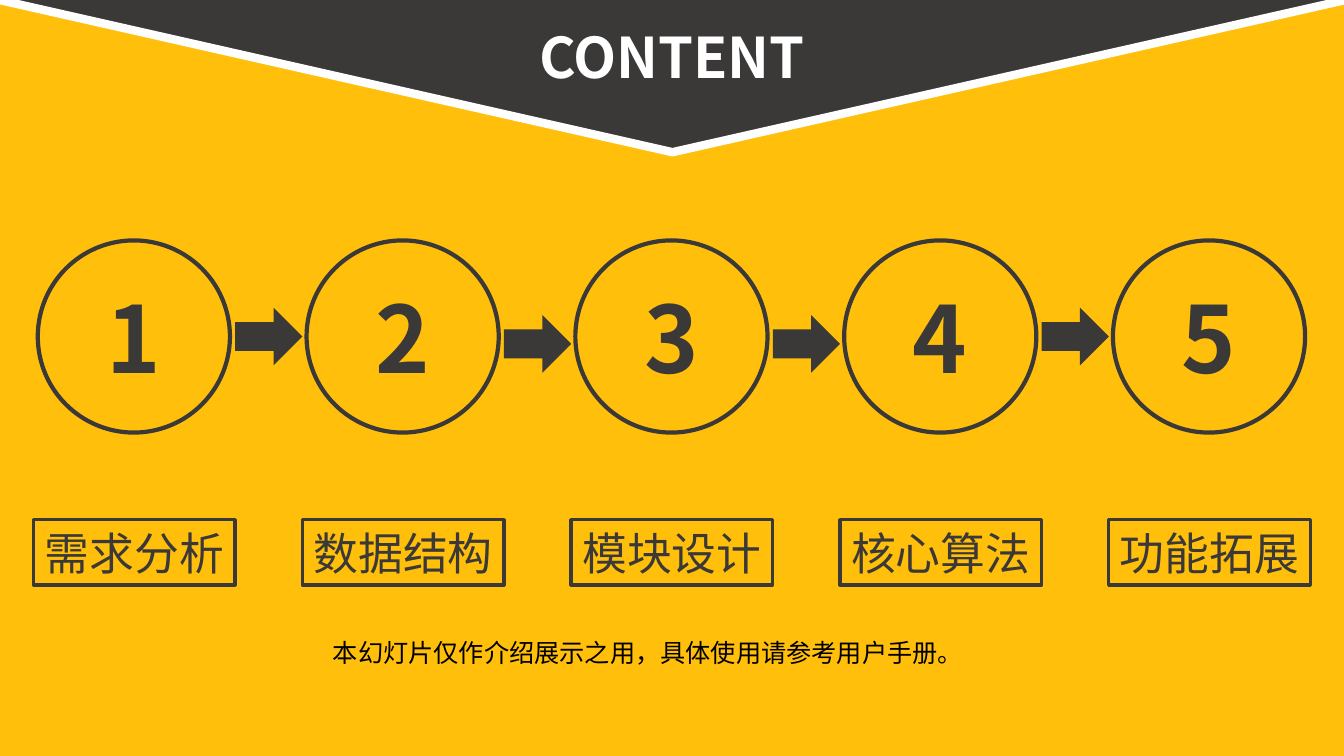
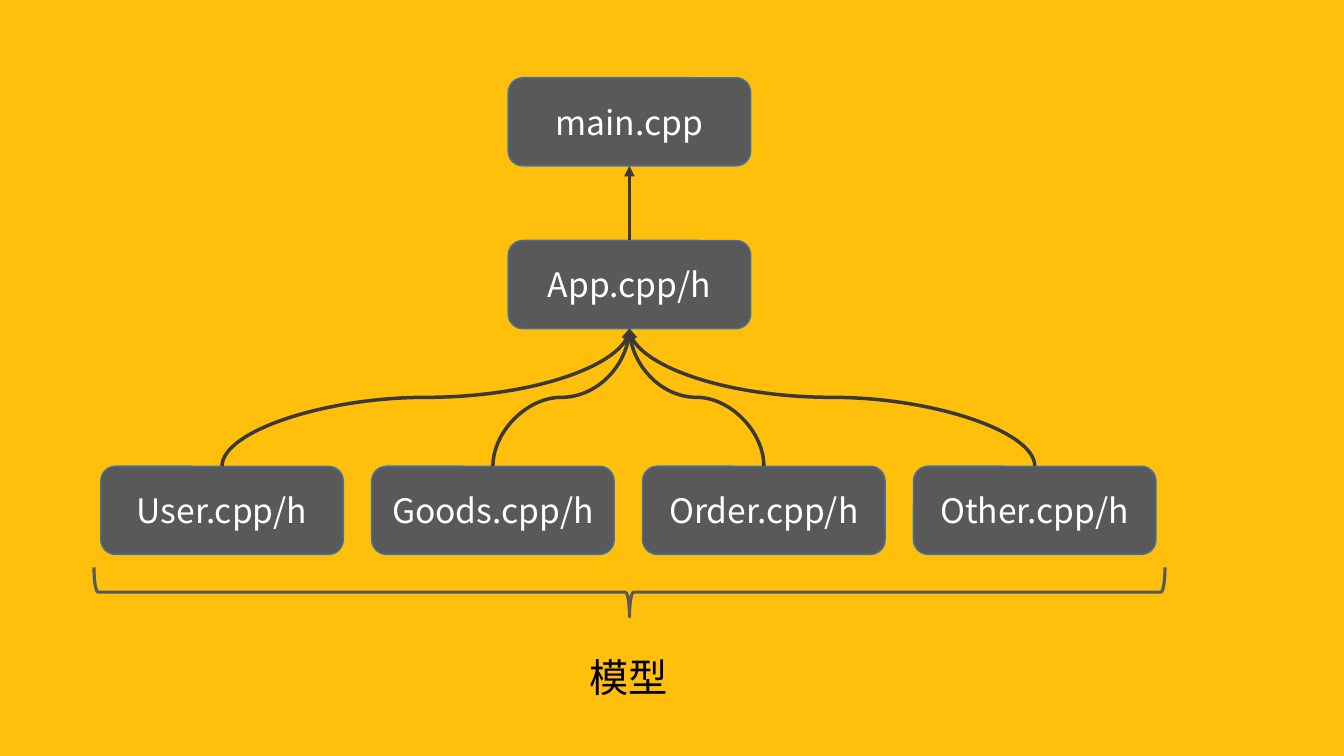
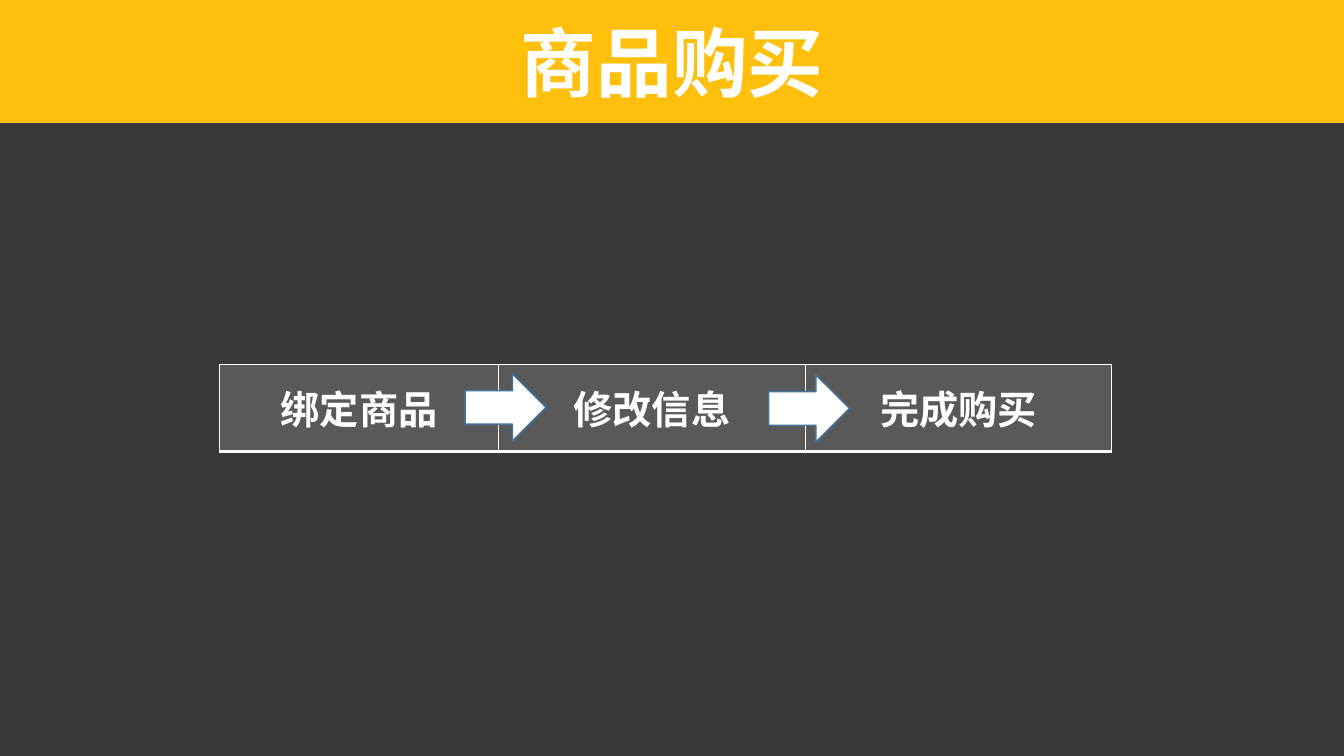
from pptx import Presentation
from pptx.dml.color import RGBColor
from pptx.enum.shapes import MSO_CONNECTOR, MSO_SHAPE
from pptx.enum.text import MSO_ANCHOR, PP_ALIGN
from pptx.oxml.ns import qn
from pptx.util import Pt
from lxml.etree import SubElement

PX = 9525
WIDE, HIGH = 1280, 720
FONT = "Noto Sans CJK SC"
GOLD, DARK, GREY = "FFBF0B", "3B3838", "595959"
WHITE, BLACK, BLUE = "FFFFFF", "000000", "43739E"

TOPICS = ["需求分析", "数据结构", "模块设计", "核心算法", "功能拓展"]
ARROW_TOPS = [293, 300, 300, 293]
NOTE = "本幻灯片仅作介绍展示之用，具体使用请参考用户手册。"
MODELS = ["User.cpp/h", "Goods.cpp/h", "Order.cpp/h", "Other.cpp/h"]
STEPS = [("绑定商品", 266), ("修改信息", 292), ("完成购买", 292)]
STEP_ARROWS = [(443, 356), (732, 357)]
BORDERS = [("lnL", 1), ("lnR", 1), ("lnT", 1), ("lnB", 3)]


def emu(*sizes):
    return [round(size * PX) for size in sizes]


def tint(code):
    return RGBColor.from_string(code)


def write(frame, text, size=24, color=WHITE, bold=False):
    frame.word_wrap = True
    frame.margin_left = frame.margin_right = 0
    frame.vertical_anchor = MSO_ANCHOR.MIDDLE
    para = frame.paragraphs[0]
    para.alignment = PP_ALIGN.CENTER
    run = para.add_run()
    run.text = text
    font = run.font
    font.name, font.size, font.bold = FONT, Pt(size), bold
    font.color.rgb = tint(color)
    SubElement(font._element, qn("a:ea"), typeface=FONT)


def label(slide, box, text, **style):
    write(slide.shapes.add_textbox(*emu(*box)).text_frame, text, **style)


def shape(slide, kind, box, fill=None, line=None, width=1, text=None, **style):
    item = slide.shapes.add_shape(kind, *emu(*box))
    item.shadow.inherit = False
    if fill:
        item.fill.solid()
        item.fill.fore_color.rgb = tint(fill)
    else:
        item.fill.background()
    if line:
        item.line.color.rgb = tint(line)
        item.line.width = Pt(width)
    else:
        item.line.fill.background()
    if text:
        write(item.text_frame, text, **style)
    return item


def page(deck, color):
    slide = deck.slides.add_slide(deck.slide_layouts[6])
    slide.background.fill.solid()
    slide.background.fill.fore_color.rgb = tint(color)
    return slide


def node(slide, left, top, text):
    return shape(slide, MSO_SHAPE.ROUNDED_RECTANGLE, (left, top, 231, 84),
                 GREY, BLUE, text=text)


def link(slide, low, high):
    x1, y1 = low.left + low.width // 2, low.top
    x2, y2 = high.left + high.width // 2, high.top + high.height
    curve = slide.shapes.add_connector(MSO_CONNECTOR.CURVE, x1, y1, x2, y2)
    curve.begin_connect(low, 0)
    curve.end_connect(high, 2)
    span, drop = abs(x2 - x1), y1 - y2
    curve.left, curve.top = (x1 + x2 - drop) // 2, (y1 + y2 - span) // 2
    curve.width, curve.height = drop, span
    right = x2 >= x1
    props = curve._element.spPr
    frame = props.find(qn("a:xfrm"))
    frame.set("rot", str((90 if right else 270) * 60000))
    frame.set("flipH", "1" if right else "0")
    frame.set("flipV", "1")
    curve.line.color.rgb = tint(DARK)
    curve.line.width = Pt(2.5)
    SubElement(props.find(qn("a:ln")), qn("a:tailEnd"), type="triangle")
    SubElement(props, qn("a:effectLst"))


def edge(cell):
    props = cell._tc.get_or_add_tcPr()
    for spot, (tag, width) in enumerate(BORDERS):
        line = props.makeelement(qn("a:" + tag), {"w": str(Pt(width))})
        fill = SubElement(line, qn("a:solidFill"))
        SubElement(fill, qn("a:srgbClr"), val=WHITE)
        props.insert(spot, line)


def content(deck):
    slide = page(deck, GOLD)
    roof = shape(slide, MSO_SHAPE.ISOSCELES_TRIANGLE, (-67, -15, 1415, 160),
                 DARK, WHITE, 6)
    roof._element.spPr.find(qn("a:xfrm")).set("flipV", "1")
    label(slide, (495, 16, 290, 74), "CONTENT", size=40, bold=True)
    pitch = WIDE // len(TOPICS)
    for spot, topic in enumerate(TOPICS):
        left = spot * pitch
        shape(slide, MSO_SHAPE.OVAL, (left + 36, 229, 183, 183), None, DARK, 3,
              str(spot + 1), size=66, color=DARK, bold=True)
        shape(slide, MSO_SHAPE.RECTANGLE, (left + 32, 495, 192, 62), None, DARK,
              2.5, topic, size=32, color=DARK)
    for spot, top in enumerate(ARROW_TOPS):
        shape(slide, MSO_SHAPE.RIGHT_ARROW, (spot * pitch + 224, top, 64, 55), DARK)
    label(slide, (287, 602, 660, 38), NOTE, size=18, color=BLACK)


def files(deck):
    slide = page(deck, GOLD)
    main_box = node(slide, 484, 74, "main.cpp")
    app = node(slide, 484, 229, "App.cpp/h")
    for spot, name in enumerate(MODELS):
        link(slide, node(slide, 96 + spot * 258, 444, name), app)
    link(slide, app, main_box)
    brace = shape(slide, MSO_SHAPE.RIGHT_BRACE, (576, 54, 47, 1020), None, GREY, 2.25)
    brace.rotation = 90
    label(slide, (494, 617, 209, 55), "模型", size=28, color=BLACK)


def purchase(deck):
    slide = page(deck, DARK)
    shape(slide, MSO_SHAPE.RECTANGLE, (0, 0, WIDE, 117), GOLD,
          text="商品购买", size=54, bold=True)
    total = sum(width for _, width in STEPS)
    box = emu(209, 347, total, 83)
    table = slide.shapes.add_table(1, len(STEPS), *box).table
    for spot, (step, width) in enumerate(STEPS):
        table.columns[spot].width = width * PX
        cell = table.cell(0, spot)
        cell.fill.solid()
        cell.fill.fore_color.rgb = tint(GREY)
        cell.vertical_anchor = MSO_ANCHOR.MIDDLE
        write(cell.text_frame, step, size=28, bold=True)
        edge(cell)
    for left, top in STEP_ARROWS:
        shape(slide, MSO_SHAPE.RIGHT_ARROW, (left, top, 77, 64), WHITE, BLUE)


def main():
    deck = Presentation()
    deck.slide_width, deck.slide_height = emu(WIDE, HIGH)
    for build in (content, files, purchase):
        build(deck)
    deck.save("out.pptx")


if __name__ == "__main__":
    main()
